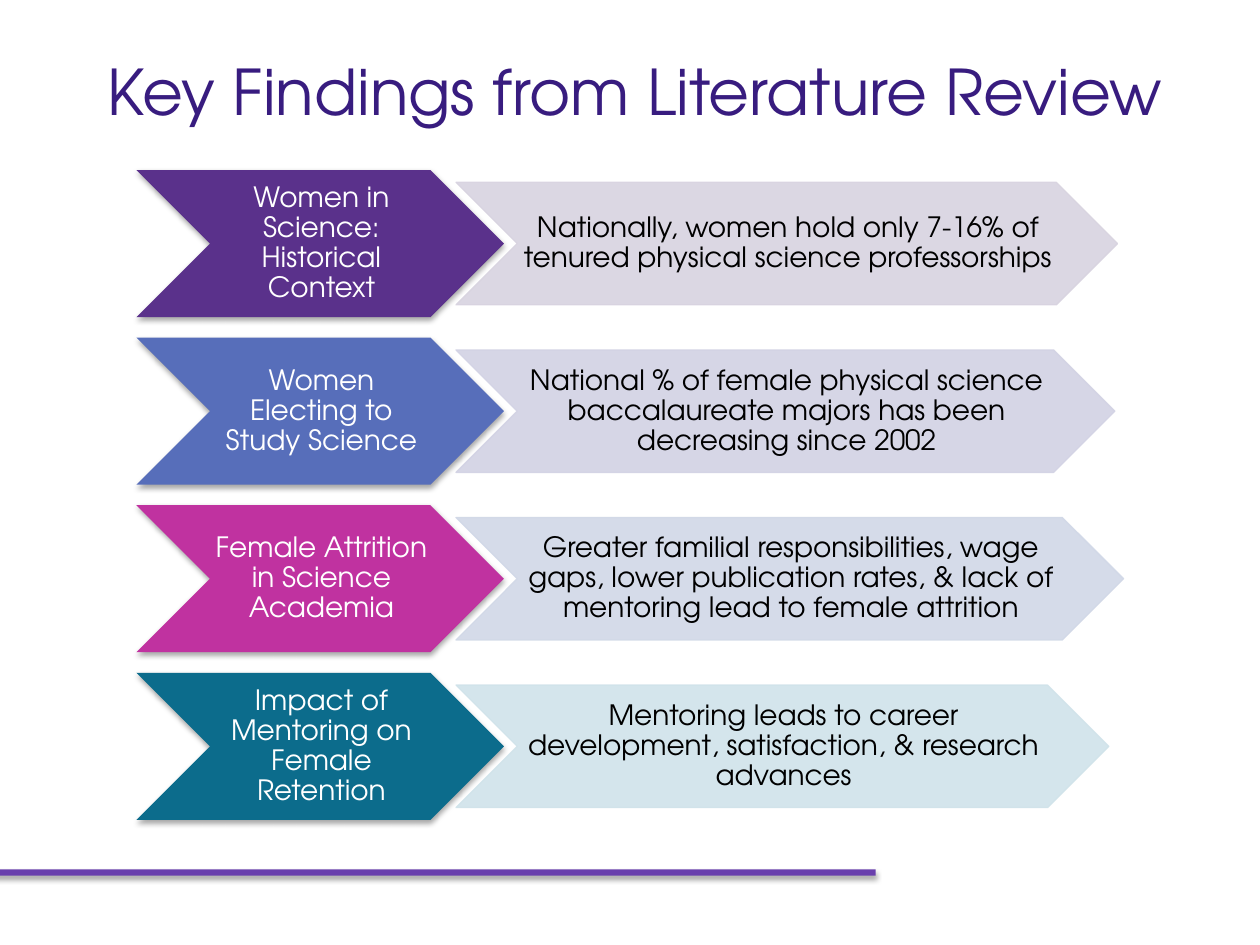
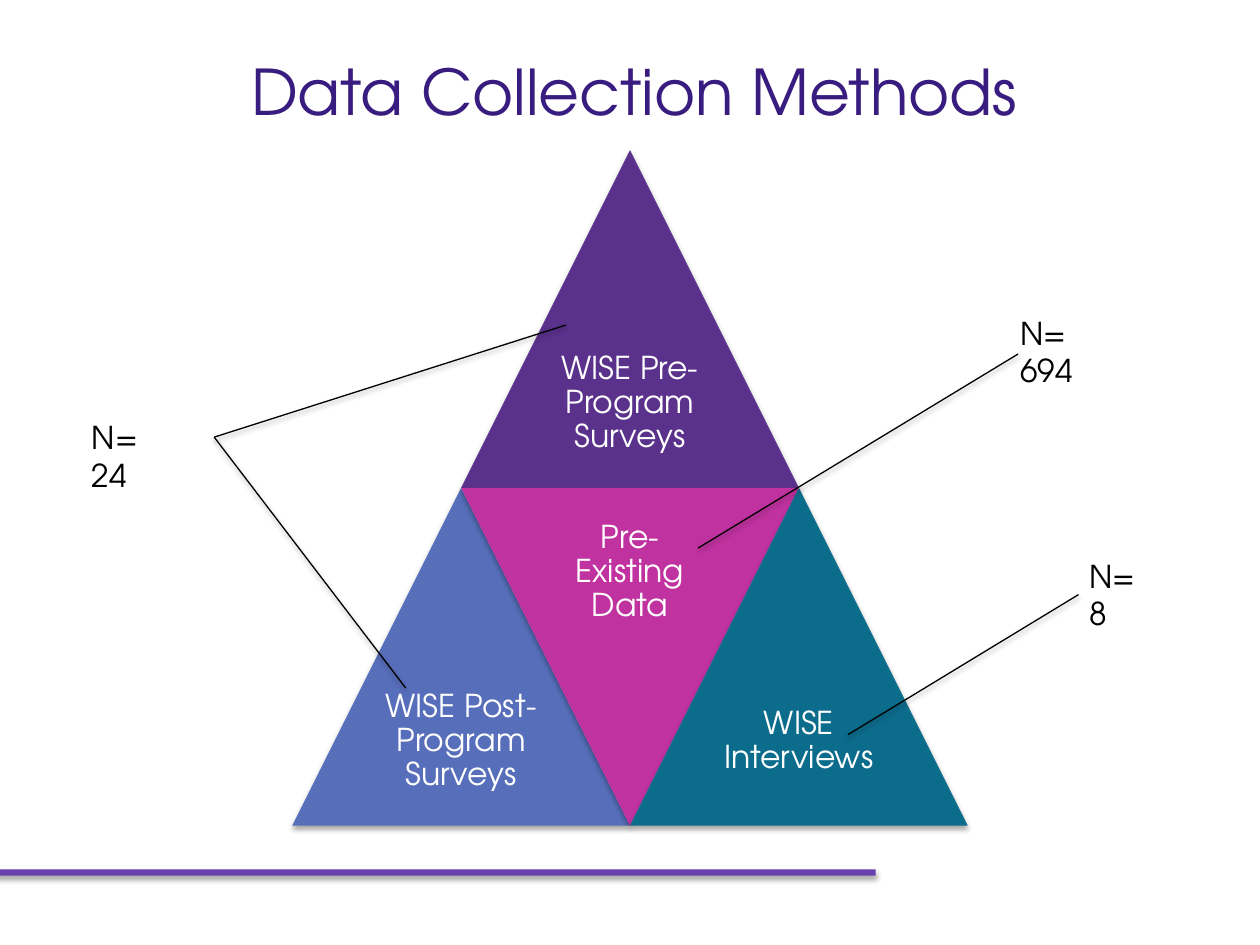
from typing import NamedTuple

from lxml.etree import SubElement
from pptx import Presentation
from pptx.dml.color import RGBColor
from pptx.enum.shapes import MSO_CONNECTOR, MSO_SHAPE
from pptx.enum.text import MSO_ANCHOR, MSO_AUTO_SIZE, PP_ALIGN
from pptx.oxml.ns import qn
from pptx.util import Pt

FONT = "TeX Gyre Adventor"
WHITE, BLACK = "FFFFFF", "000000"
PURPLE, BLUE, PINK, TEAL = "5A318B", "576EBA", "C032A0", "0C6C8C"
TITLE, BAND = "381C7F", "693FAD"


class Box(NamedTuple):
    left: float
    top: float
    width: float
    height: float


class Finding(NamedTuple):
    topic: str
    color: str
    result: str
    tint: str
    width: float


class Method(NamedTuple):
    name: str
    color: str
    col: int
    row: int
    turned: bool = False


class Count(NamedTuple):
    text: str
    box: Box
    lines: list


FINDINGS = [
    Finding("Women in Science: Historical Context", PURPLE,
            "Nationally, women hold only 7-16% of tenured physical science "
            "professorships", "D8D3E0", 378),
    Finding("Women Electing to Study Science", BLUE,
            "National % of female physical science baccalaureate majors has "
            "been decreasing since 2002", "D2D2E4", 376.5),
    Finding("Female Attrition in Science Academia", PINK,
            "Greater familial responsibilities, wage gaps, lower publication "
            "rates, & lack of mentoring lead to female attrition",
            "D1D8E7", 381.5),
    Finding("Impact of Mentoring on Female Retention", TEAL,
            "Mentoring leads to career development, satisfaction, & research "
            "advances", "D0E3EA", 373),
]

# Columns count half triangles from the left corner
METHODS = [
    Method("WISE Pre-Program Surveys", PURPLE, 1, 0),
    Method("WISE Post-Program Surveys", BLUE, 0, 1),
    Method("Pre-Existing Data", PINK, 1, 1, True),
    Method("WISE Interviews", TEAL, 2, 1),
]

COUNTS = [
    Count("N= 694", Box(576, 175.7, 73.4, 28.8),
          [(398.9, 313.2, 581.8, 202.3)]),
    Count("N= 8", Box(615.6, 314.6, 54, 28.8),
          [(484.6, 419.8, 616.3, 339.8)]),
    Count("N= 24", Box(45.4, 235.4, 64, 28.8),
          [(122.4, 249.8, 231.8, 393.1), (122.4, 249.8, 323.3, 185.8)]),
]


def rgb(code: str) -> RGBColor:
    return RGBColor.from_string(code)


def points(box) -> list:
    return [Pt(n) for n in box]


def fade(fill, share: int) -> None:
    """Make a solid fill partly see-through."""
    color = fill._xPr.find(qn("a:solidFill"))[0]
    SubElement(color, qn("a:alpha"), val=str(share * 1000))


def shade(props, share: int, drop: float) -> None:
    """Cast a soft shadow straight down."""
    effect = props.find(qn("a:effectLst"))
    if effect is None:
        effect = SubElement(props, qn("a:effectLst"))
    cast = SubElement(effect, qn("a:outerShdw"), blurRad=str(Pt(3.1)),
                      dist=str(Pt(drop)), dir="5400000", rotWithShape="0")
    color = SubElement(cast, qn("a:srgbClr"), val=BLACK)
    SubElement(color, qn("a:alpha"), val=str(share * 1000))


def draw(slide, kind: MSO_SHAPE, box: Box, color: str, pale: bool = False):
    shape = slide.shapes.add_shape(kind, *points(box))
    shape.shadow.inherit = False
    shape.fill.solid()
    shape.fill.fore_color.rgb = rgb(color)
    if pale:
        shape.line.color.rgb = rgb(color)
        shape.line.width = Pt(0.75)
        fade(shape.fill, 90)
        fade(shape.line.fill, 90)
    else:
        shape.line.fill.background()
        shade(shape._element.spPr, 35, 1.8)
    return shape


def write(slide, text: str, box: Box, size: float, color: str,
          pads: tuple = (7.2, 3.6, 7.2, 3.6), inset: float = 0):
    frame = slide.shapes.add_textbox(*points(box)).text_frame
    frame.word_wrap = True
    (frame.margin_left, frame.margin_top,
     frame.margin_right, frame.margin_bottom) = points(pads)
    para = frame.paragraphs[0]
    para.text = text
    if inset:
        para._p.get_or_add_pPr().set("marL", str(Pt(inset)))
    font = para.font
    font.name, font.size, font.color.rgb = FONT, Pt(size), rgb(color)
    return frame


def label(slide, text: str, box: Box, size: float, color: str,
          pads: tuple) -> None:
    """Write centred text inside a diagram shape."""
    frame = write(slide, text, box, size, color, pads)
    frame.vertical_anchor = MSO_ANCHOR.MIDDLE
    para = frame.paragraphs[0]
    para.alignment = PP_ALIGN.CENTER
    para.line_spacing = 0.9
    para.space_after = Pt(size * 0.35)


def start(deck, title: str, left: float, width: float):
    """Add a slide with the shared band and title."""
    slide = deck.slides.add_slide(deck.slide_layouts[6])
    draw(slide, MSO_SHAPE.RECTANGLE, Box(-3.6, 496.8, 504, 3.6), BAND)
    frame = write(slide, title, Box(left, 26, width, 52), 36, TITLE,
                  (4.3,) * 4, 5)
    frame.auto_size = MSO_AUTO_SIZE.SHAPE_TO_FIT_TEXT
    frame.paragraphs[0].alignment = PP_ALIGN.CENTER
    return slide


def arrow(slide, text: str, box: Box, color: str, ink: str,
          pale: bool = False) -> None:
    """Draw a chevron with text between its two points."""
    draw(slide, MSO_SHAPE.CHEVRON, box, color, pale)
    inner = Box(box.left + box.height / 2, box.top,
                box.width - box.height, box.height)
    label(slide, text, inner, 16, ink, (1.4, 0.7, 0, 0.7))


def review(deck) -> None:
    slide = start(deck, "Key Findings from Literature Review", 34, 653)
    for row, item in enumerate(FINDINGS):
        top = 97.2 + row * 95.76
        arrow(slide, item.topic, Box(78, top, 210, 84), item.color, WHITE)
        arrow(slide, item.result, Box(260.6, top + 7, item.width, 70),
              item.tint, BLACK, True)


def data(deck) -> None:
    slide = start(deck, "Data Collection Methods", 0, 720)
    side = 193
    half = side / 2
    # Four triangles form a large one
    for item in METHODS:
        left, top = 167 + item.col * half, 85.8 + item.row * side
        shape = draw(slide, MSO_SHAPE.ISOSCELES_TRIANGLE,
                     Box(left, top, side, side), item.color)
        shape.rotation = 180 if item.turned else 0
        drop = 0 if item.turned else half
        label(slide, item.name, Box(left + half / 2, top + drop, half, half),
              18, WHITE, (5,) * 4)
    # Sample sizes with their pointers
    for count in COUNTS:
        write(slide, count.text, count.box, 18, BLACK)
        for ends in count.lines:
            line = slide.shapes.add_connector(MSO_CONNECTOR.STRAIGHT,
                                              *points(ends))
            line.line.color.rgb = rgb(BLACK)
            line.line.width = Pt(0.75)
            shade(line._element.spPr, 38, 1.6)


def main() -> None:
    deck = Presentation()
    deck.slide_width, deck.slide_height = Pt(720), Pt(540)
    review(deck)
    data(deck)
    deck.save("out.pptx")


if __name__ == "__main__":
    main()
